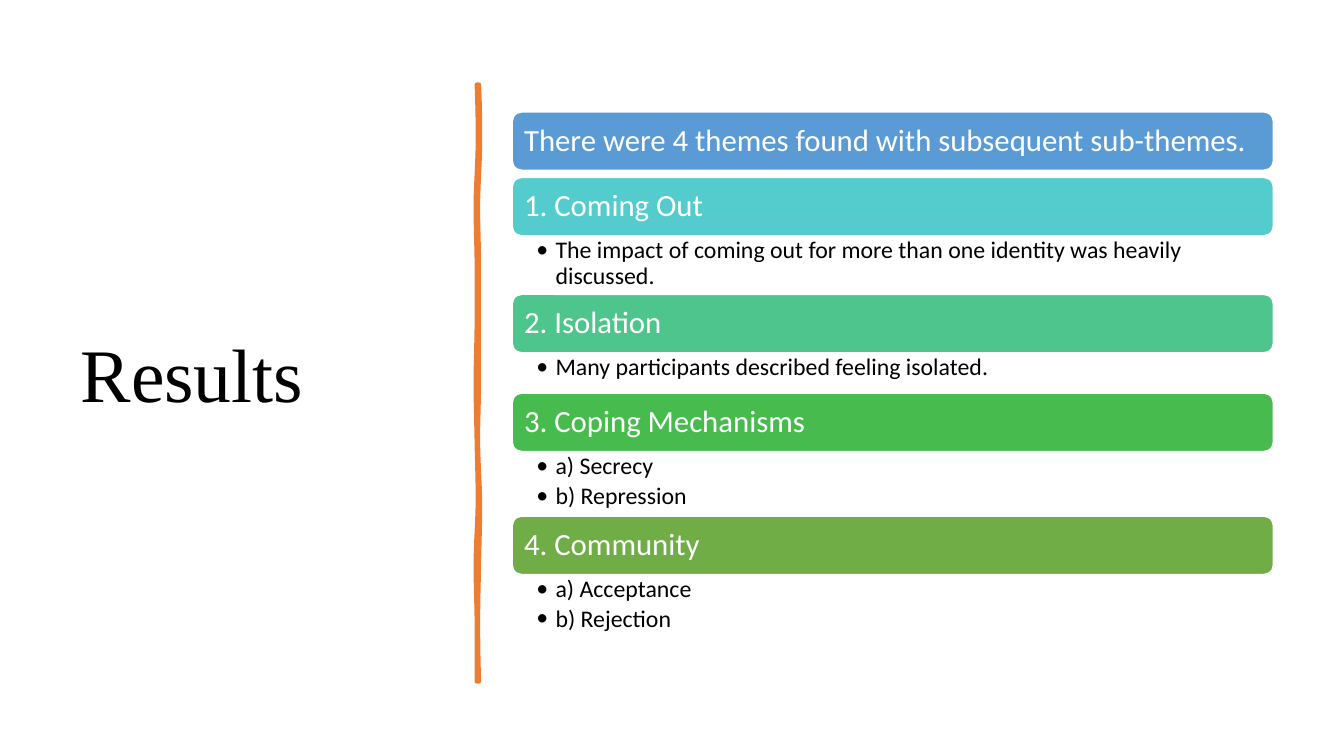
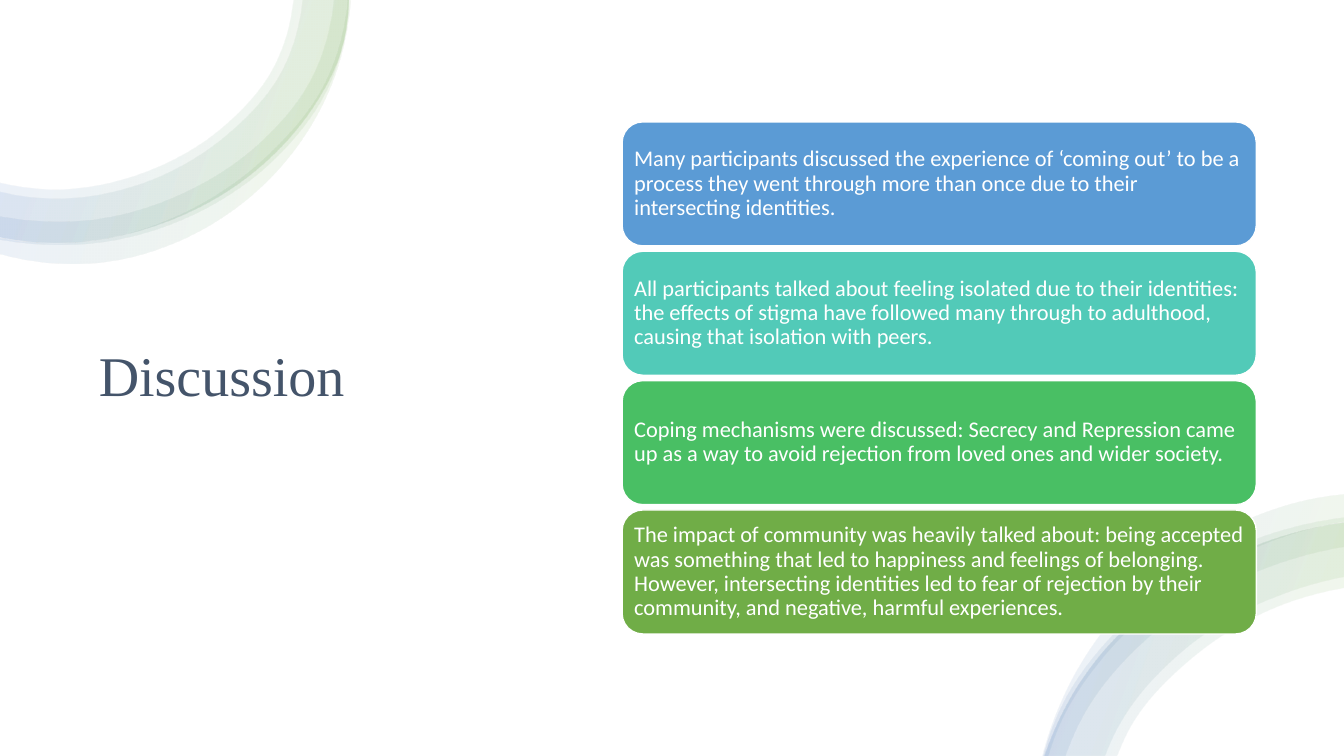
from math import dist

from lxml import etree
from pptx import Presentation
from pptx.dml.color import RGBColor
from pptx.enum.shapes import MSO_SHAPE
from pptx.enum.text import MSO_ANCHOR, MSO_AUTO_SIZE, PP_ALIGN
from pptx.oxml.ns import qn
from pptx.util import Inches, Pt

ROUNDED = MSO_SHAPE.ROUNDED_RECTANGLE
TOP, MIDDLE = MSO_ANCHOR.TOP, MSO_ANCHOR.MIDDLE
NO_AUTOFIT = MSO_AUTO_SIZE.NONE
LEFT = PP_ALIGN.LEFT

WHITE, BLACK, SLATE, ORANGE = "FFFFFF", "000000", "44546A", "ED7D31"
BLUE, AQUA, TEAL, MINT = "5B9BD5", "54CCCD", "52CAB8", "4DC58D"
EMERALD, GREEN, OLIVE, NAVY = "49BF64", "48BB4F", "70AD47", "4472C4"
RIBBON_STOPS = [(2, WHITE), (16, OLIVE), (85, NAVY), (100, WHITE)]
RIBBON_ALPHA = 10

THEMES = [
    ("There were 4 themes found with subsequent sub-themes.", BLUE, [], 0.07),
    ("1. Coming Out", AQUA, [
        "The impact of coming out for more than one identity was heavily discussed."], 0.58),
    ("2. Isolation", MINT, ["Many participants described feeling isolated."], 0.4),
    ("3. Coping Mechanisms", GREEN, ["a) Secrecy", "b) Repression"], 0.64),
    ("4. Community", OLIVE, ["a) Acceptance", "b) Rejection"], 0.64),
]

FINDINGS = [
    ("Many participants discussed the experience of ‘coming out’ to be a process they went "
     "through more than once due to their intersecting identities.", BLUE),
    ("All participants talked about feeling isolated due to their identities: the effects of "
     "stigma have followed many through to adulthood, causing that isolation with peers.", TEAL),
    ("Coping mechanisms were discussed: Secrecy and Repression came up as a way to avoid "
     "rejection from loved ones and wider society.", EMERALD),
    ("The impact of community was heavily talked about: being accepted was something that led "
     "to happiness and feelings of belonging. However, intersecting identities led to fear of "
     "rejection by their community, and negative, harmful experiences.", OLIVE),
]

UPPER_EDGE = [(3.46, 0), (3.37, 0.55), (3.11, 1.06), (2.44, 1.77), (1.54, 2.24),
              (0.53, 2.41), (0, 2.35)]
LOWER_EDGE = [(10.36, 7.5), (10.87, 6.55), (11.52, 5.93), (12.33, 5.46), (13.33, 5.18)]
RIBBONS = [
    (UPPER_EDGE, [(0, 1.81), (0.53, 1.88), (1.41, 1.72), (2.18, 1.29), (2.72, 0.66), (2.91, 0)]),
    (UPPER_EDGE, [(0, 1.9), (0.53, 1.97), (1.44, 1.81), (2.24, 1.35), (2.8, 0.7), (3, 0)]),
    ([(3.46, 0), (3.26, 0.86), (2.68, 1.62), (1.87, 2.15), (0.91, 2.41), (0.42, 2.42), (0, 2.37)],
     [(0, 2.14), (0.43, 2.19), (0.88, 2.18), (1.76, 1.94), (2.53, 1.46), (3.09, 0.78), (3.31, 0)]),
    ([(3.48, 0), (3.29, 0.84), (2.76, 1.68), (1.95, 2.3), (0.94, 2.6), (0.41, 2.59), (0, 2.51)],
     [(0, 2.35), (0.43, 2.4), (0.91, 2.38), (1.83, 2.1), (2.63, 1.56), (3.23, 0.81), (3.45, 0)]),
    ([(10.34, 7.5), (10.76, 6.52), (11.35, 5.81), (12.13, 5.27), (13.04, 4.95), (13.33, 4.91)],
     [(13.33, 5.18), (12.82, 5.3), (12.27, 5.52), (11.51, 5.98), (10.88, 6.6), (10.56, 7.09),
      (10.4, 7.5)]),
    (LOWER_EDGE, [(13.33, 5.83), (12.79, 5.97), (11.84, 6.51), (11.18, 7.27), (11.08, 7.5)]),
    ([(10.35, 7.5), (10.52, 7.03), (11.23, 6.11), (12.22, 5.45), (13.33, 5.14)],
     [(13.33, 5.43), (12.36, 5.72), (11.42, 6.3), (10.73, 7.13), (10.57, 7.5)]),
    (LOWER_EDGE, [(13.33, 5.72), (12.75, 5.88), (11.76, 6.43), (11.08, 7.23), (10.96, 7.5)]),
]

DIVIDER_TOP, DIVIDER_BOTTOM = 0.84, 6.76
DIVIDER_LEFT = [4.73, 4.74, 4.72, 4.73, 4.73, 4.72, 4.73, 4.74, 4.72, 4.73, 4.73]
DIVIDER_RIGHT = [4.75, 4.76, 4.74, 4.75, 4.75, 4.75, 4.74, 4.76, 4.75, 4.74, 4.75]


def color(value):
    """Turn a hex string into a colour."""
    return RGBColor.from_string(value)


def smooth_curve(points):
    """Return the start and the cubic control points of a curve through the points."""
    pairs = list(zip(points, points[1:]))
    lengths = [dist(start, end) for start, end in pairs]
    slopes = [((end[0] - start[0]) / length, (end[1] - start[1]) / length)
              for (start, end), length in zip(pairs, lengths)]
    tangents = [tuple((a * after + b * before) / (before + after) for a, b in zip(first, second))
                for first, second, before, after
                in zip(slopes, slopes[1:], lengths, lengths[1:])]
    first = tuple(2 * a - b for a, b in zip(slopes[0], tangents[0]))
    last = tuple(2 * a - b for a, b in zip(slopes[-1], tangents[-1]))
    tangents = [first, *tangents, last]
    curve = [points[0]]
    for (start, end), length, leaving, arriving in zip(pairs, lengths, tangents, tangents[1:]):
        curve.append(tuple(a + t * length / 3 for a, t in zip(start, leaving)))
        curve.append(tuple(a - t * length / 3 for a, t in zip(end, arriving)))
        curve.append(end)
    return curve


def write_text(frame, *lines, font="Calibri", size=16, fill=WHITE, anchor=MIDDLE,
               margins=(0.1, 0.05, 0.1, 0.05), bullet=False, space_after=0):
    """Fill a text frame with one formatted paragraph per line."""
    frame.word_wrap = True
    frame.auto_size = NO_AUTOFIT
    frame.vertical_anchor = anchor
    (frame.margin_left, frame.margin_top,
     frame.margin_right, frame.margin_bottom) = map(Inches, margins)
    for index, line in enumerate(lines):
        paragraph = frame.add_paragraph() if index else frame.paragraphs[0]
        paragraph.alignment = LEFT
        paragraph.line_spacing = 0.9
        paragraph.space_before = Pt(0)
        paragraph.space_after = Pt(space_after)
        run = paragraph.add_run()
        run.text = line
        run.font.name = font
        run.font.size = Pt(size)
        run.font.color.rgb = color(fill)
        if bullet:
            properties = paragraph._p.get_or_add_pPr()
            properties.set("marL", str(Inches(0.19)))
            properties.set("indent", str(-Inches(0.19)))
            etree.SubElement(properties, qn("a:buFont")).set("typeface", font)
            etree.SubElement(properties, qn("a:buChar")).set("char", "•")


class Deck:
    """Hold the shared style and the current slide."""

    def __init__(self):
        """Start a widescreen presentation."""
        self.presentation = Presentation()
        self.presentation.slide_width = Inches(13.33)
        self.presentation.slide_height = Inches(7.5)
        self.slide = None

    def add_slide(self, title, left, top, width, height, size, fill):
        """Add a slide with its title on the left."""
        self.slide = self.presentation.slides.add_slide(self.presentation.slide_layouts[5])
        placeholder = self.slide.shapes.title
        placeholder.left, placeholder.top = Inches(left), Inches(top)
        placeholder.width, placeholder.height = Inches(width), Inches(height)
        write_text(placeholder.text_frame, title, font="Times New Roman", size=size, fill=fill)

    def add_card(self, text, left, top, width, height, fill, size, margin):
        """Add a rounded card with white text."""
        shape = self.slide.shapes.add_shape(
            ROUNDED, Inches(left), Inches(top), Inches(width), Inches(height))
        shape.shadow.inherit = False
        shape.fill.solid()
        shape.fill.fore_color.rgb = color(fill)
        shape.line.color.rgb = color(WHITE)
        shape.line.width = Pt(1)
        write_text(shape.text_frame, text, size=size, margins=(margin, 0, margin, 0))

    def add_bullets(self, lines, left, top, width, height):
        """Add a bulleted list."""
        shape = self.slide.shapes.add_textbox(
            Inches(left), Inches(top), Inches(width), Inches(height))
        write_text(shape.text_frame, *lines, size=17, fill=BLACK, anchor=TOP,
                   margins=(0.24, 0.03, 0.17, 0.03), bullet=True, space_after=3)

    def add_band(self, edge, return_edge):
        """Add a closed outline between two smooth edges."""
        curve, return_curve = smooth_curve(edge), smooth_curve(return_edge)
        outline = [(Inches(x), Inches(y)) for x, y in curve + return_curve]
        builder = self.slide.shapes.build_freeform(*outline[0])
        builder.add_line_segments(outline[1:], close=True)
        shape = builder.convert_to_shape()
        shape.shadow.inherit = False
        nodes = list(shape._element.iter(qn("a:lnTo")))
        for group in (nodes[:len(curve) - 1], nodes[len(curve):]):
            for node, second, third in zip(group[::3], group[1::3], group[2::3]):
                node.tag = qn("a:cubicBezTo")
                for extra in (second, third):
                    node.append(extra[0])
                    extra.getparent().remove(extra)
        return shape

    def add_ribbon(self, outer, inner):
        """Add a translucent ribbon with a gradient."""
        shape = self.add_band(outer, inner)
        shape.line.fill.background()
        shape.fill.gradient()
        shape.fill.gradient_angle = 160
        stops = shape._element.spPr.find(qn("a:gradFill")).find(qn("a:gsLst"))
        for stop in list(stops):
            stops.remove(stop)
        for position, value in RIBBON_STOPS:
            stop = etree.SubElement(stops, qn("a:gs"), pos=str(position * 1000))
            stop_color = etree.SubElement(stop, qn("a:srgbClr"), val=value)
            etree.SubElement(stop_color, qn("a:alpha"), val=str(RIBBON_ALPHA * 1000))

    def add_divider(self):
        """Add the hand-drawn vertical divider."""
        step = (DIVIDER_BOTTOM - DIVIDER_TOP) / (len(DIVIDER_LEFT) - 1)
        left, right = ([(x, DIVIDER_TOP + index * step) for index, x in enumerate(edge)]
                       for edge in (DIVIDER_LEFT, DIVIDER_RIGHT))
        shape = self.add_band(right, left[::-1])
        shape.fill.solid()
        shape.fill.fore_color.rgb = color(ORANGE)
        shape.line.color.rgb = color(ORANGE)
        shape.line.width = Pt(3.25)


def build_results(deck):
    """Build the slide of themes and sub-themes."""
    deck.add_slide("Results", 0.7, 0.69, 3.74, 6.11, size=54, fill=BLACK)
    deck.add_divider()
    left, top, width, card_height = 5.08, 1.11, 7.55, 0.58
    for heading, fill, details, detail_height in THEMES:
        deck.add_card(heading, left, top, width, card_height, fill, size=22, margin=0.09)
        top += card_height
        if details:
            deck.add_bullets(details, left, top - 0.01, width, detail_height)
        top += detail_height


def build_discussion(deck):
    """Build the slide of findings."""
    deck.add_slide("Discussion", 0.88, 1.69, 3.72, 4.13, size=40, fill=SLATE)
    for outer, inner in RIBBONS:
        deck.add_ribbon(outer, inner)
    first_top, last_top = 1.21, 5.06
    pitch = (last_top - first_top) / (len(FINDINGS) - 1)
    for index, (text, fill) in enumerate(FINDINGS):
        deck.add_card(text, 6.17, first_top + index * pitch, 6.29, 1.23, fill,
                      size=16, margin=0.06)


def main():
    """Build and save the presentation."""
    deck = Deck()
    build_results(deck)
    build_discussion(deck)
    deck.presentation.save("out.pptx")


if __name__ == "__main__":
    main()
